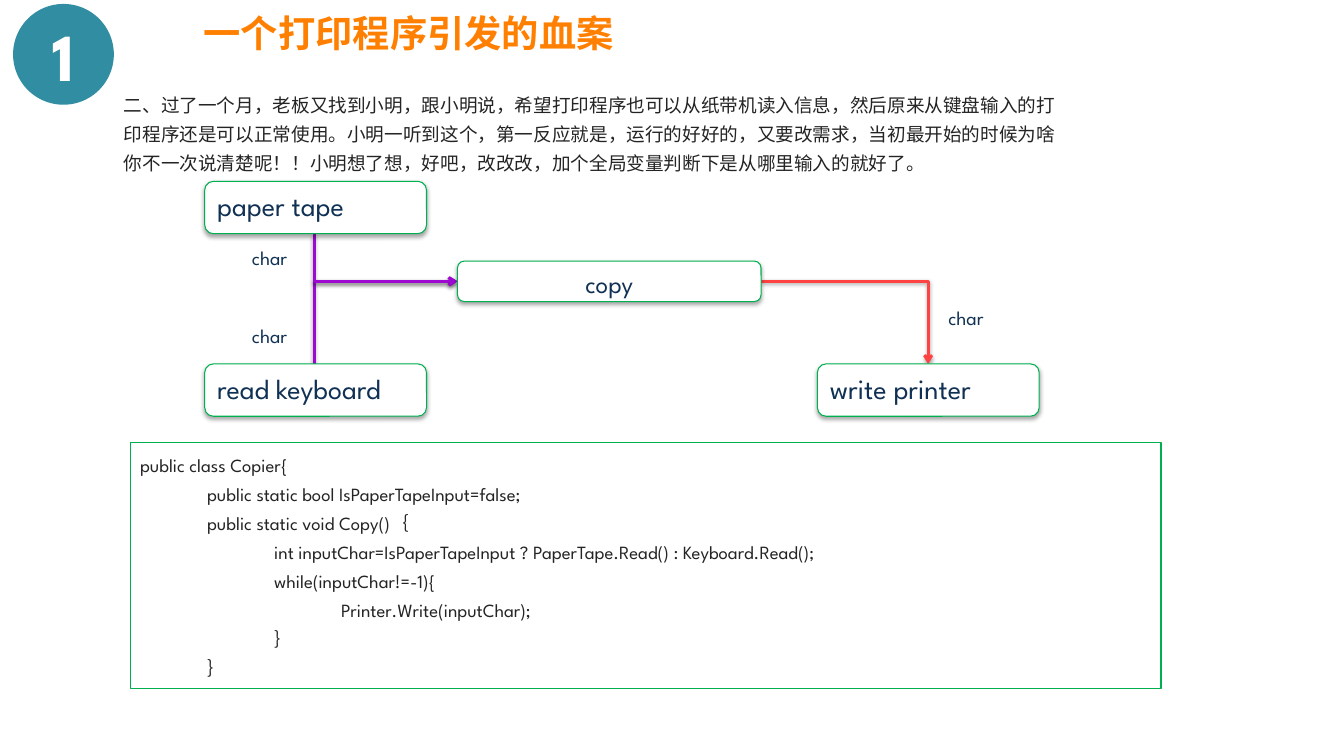
"""Build the slide about the copy program that gains a paper tape input."""
from lxml import etree
from pptx import Presentation
from pptx import util as u
from pptx.dml.color import RGBColor
from pptx.enum import shapes, text
from pptx.oxml import parse_xml
from pptx.oxml.ns import nsdecls, qn


def write(shape, content, size, color, bold=False, align="LEFT", anchor="TOP", spacing=None, tabs=()):
    frame = shape.text_frame
    frame.word_wrap = True
    frame.vertical_anchor = getattr(text.MSO_ANCHOR, anchor)
    for index, line in enumerate(content.split("\n")):
        paragraph = frame.add_paragraph() if index else frame.paragraphs[0]
        paragraph.alignment = getattr(text.PP_ALIGN, align)
        if spacing:
            paragraph.line_spacing = spacing
        if tabs:
            tab_list = etree.SubElement(paragraph._p.get_or_add_pPr(), qn("a:tabLst"))
            for tab in tabs:
                etree.SubElement(tab_list, qn("a:tab"), pos=str(u.Cm(tab)), algn="l")
        run = paragraph.add_run()
        run.text = line
        run.font.name = "League Spartan"
        run.font.size = u.Pt(size)
        run.font.bold = bold
        run.font.color.rgb = RGBColor.from_string(color)
        etree.SubElement(run._r.get_or_add_rPr(), qn("a:ea"), typeface="League Spartan")


def add_shadow(shape, distance, opacity):
    shape._element.spPr.append(parse_xml(
        f'<a:effectLst {nsdecls("a")}><a:outerShdw blurRad="{u.Pt(3.1)}" dist="{u.Pt(distance)}" '
        f'dir="5400000" rotWithShape="0"><a:srgbClr val="000000"><a:alpha val="{opacity}000"/>'
        '</a:srgbClr></a:outerShdw></a:effectLst>'))


TEAL, ORANGE, GREEN, NAVY, DARK = "308DA2", "FF7F01", "00B050", "103154", "242424"
PURPLE, RED, WHITE = "9D09D1", "FF4343", "FFFFFF"

presentation = Presentation()
presentation.slide_width = u.Cm(33.87)
presentation.slide_height = u.Cm(19.05)
slide = presentation.slides.add_slide(presentation.slide_layouts[6])

badge = slide.shapes.add_shape(shapes.MSO_SHAPE.OVAL, u.Cm(0.33), u.Cm(0.1), u.Cm(2.54), u.Cm(2.54))
badge.shadow.inherit = False
badge.fill.solid()
badge.fill.fore_color.rgb = RGBColor.from_string(TEAL)
badge.line.fill.background()
write(badge, "1", 48, WHITE, bold=True, align="CENTER", anchor="MIDDLE")

title = slide.shapes.add_textbox(u.Cm(3.28), u.Cm(0.13), u.Cm(14.05), u.Cm(2.51))
write(title, "一个打印程序引发的血案", 26.6, ORANGE, bold=True, align="CENTER")

story = slide.shapes.add_textbox(u.Cm(2.87), u.Cm(2.08), u.Cm(24.31), u.Cm(2.49))
write(story, "二、过了一个月，老板又找到小明，跟小明说，希望打印程序也可以从纸带机读入信息，"
      "然后原来从键盘输入的打印程序还是可以正常使用。小明一听到这个，第一反应就是，"
      "运行的好好的，又要改需求，当初最开始的时候为啥你不一次说清楚呢！！"
      "小明想了想，好吧，改改改，加个全局变量判断下是从哪里输入的就好了。", 13.3, DARK, spacing=1.3)

for begin_x, begin_y, end_x, end_y, rotation, color in (
    (8.69, 6.33, 10.77, 9.93, 270, PURPLE),
    (9.13, 8.29, 10.33, 4.69, 90, PURPLE),
    (19.18, 7.09, 23.39, 9.17, 0, RED),
):
    arrow = slide.shapes.add_connector(
        shapes.MSO_CONNECTOR.ELBOW, u.Cm(begin_x), u.Cm(begin_y), u.Cm(end_x), u.Cm(end_y))
    properties = arrow._element.spPr
    properties.find(qn("a:prstGeom")).set("prst", "bentConnector2")
    properties.find(qn("a:xfrm")).set("rot", str(rotation * 60000))
    arrow.line.color.rgb = RGBColor.from_string(color)
    arrow.line.width = u.Pt(2)
    etree.SubElement(arrow.line._get_or_add_ln(), qn("a:tailEnd"), type="arrow")
    add_shadow(arrow, 1.6, 38)

for label, left, top, width, height, size, align in (
    ("paper tape", 5.16, 4.57, 5.59, 1.32, 20, "LEFT"),
    ("read keyboard", 5.16, 9.17, 5.59, 1.32, 20, "LEFT"),
    ("write printer", 20.6, 9.17, 5.59, 1.32, 20, "LEFT"),
    ("copy", 11.53, 6.58, 7.65, 1.02, 18, "CENTER"),
):
    node = slide.shapes.add_shape(
        shapes.MSO_SHAPE.ROUNDED_RECTANGLE, u.Cm(left), u.Cm(top), u.Cm(width), u.Cm(height))
    node.fill.solid()
    node.fill.fore_color.rgb = RGBColor.from_string(WHITE)
    node.line.color.rgb = RGBColor.from_string(GREEN)
    node.line.width = u.Pt(0.75)
    add_shadow(node, 1.8, 35)
    write(node, label, size, NAVY, align=align)

for left, top in ((6.1, 6.07), (6.1, 8.03), (23.65, 7.59)):
    flow_label = slide.shapes.add_textbox(u.Cm(left), u.Cm(top), u.Cm(1.55), u.Cm(0.86))
    write(flow_label, "char", 14, NAVY)

code = slide.shapes.add_shape(shapes.MSO_SHAPE.RECTANGLE, u.Cm(3.28), u.Cm(11.15), u.Cm(25.98), u.Cm(6.2))
code.shadow.inherit = False
code.fill.background()
code.line.color.rgb = RGBColor.from_string(GREEN)
code.line.width = u.Pt(0.75)
write(code, """public class Copier{
\tpublic static bool IsPaperTapeInput=false;
\tpublic static void Copy()｛
\t\tint inputChar=IsPaperTapeInput ? PaperTape.Read() : Keyboard.Read();
\t\twhile(inputChar!=-1){
\t\t\tPrinter.Write(inputChar);
\t\t｝
\t｝""", 13.3, DARK, spacing=1.3, tabs=(1.69, 3.38, 5.07))

presentation.save("out.pptx")
